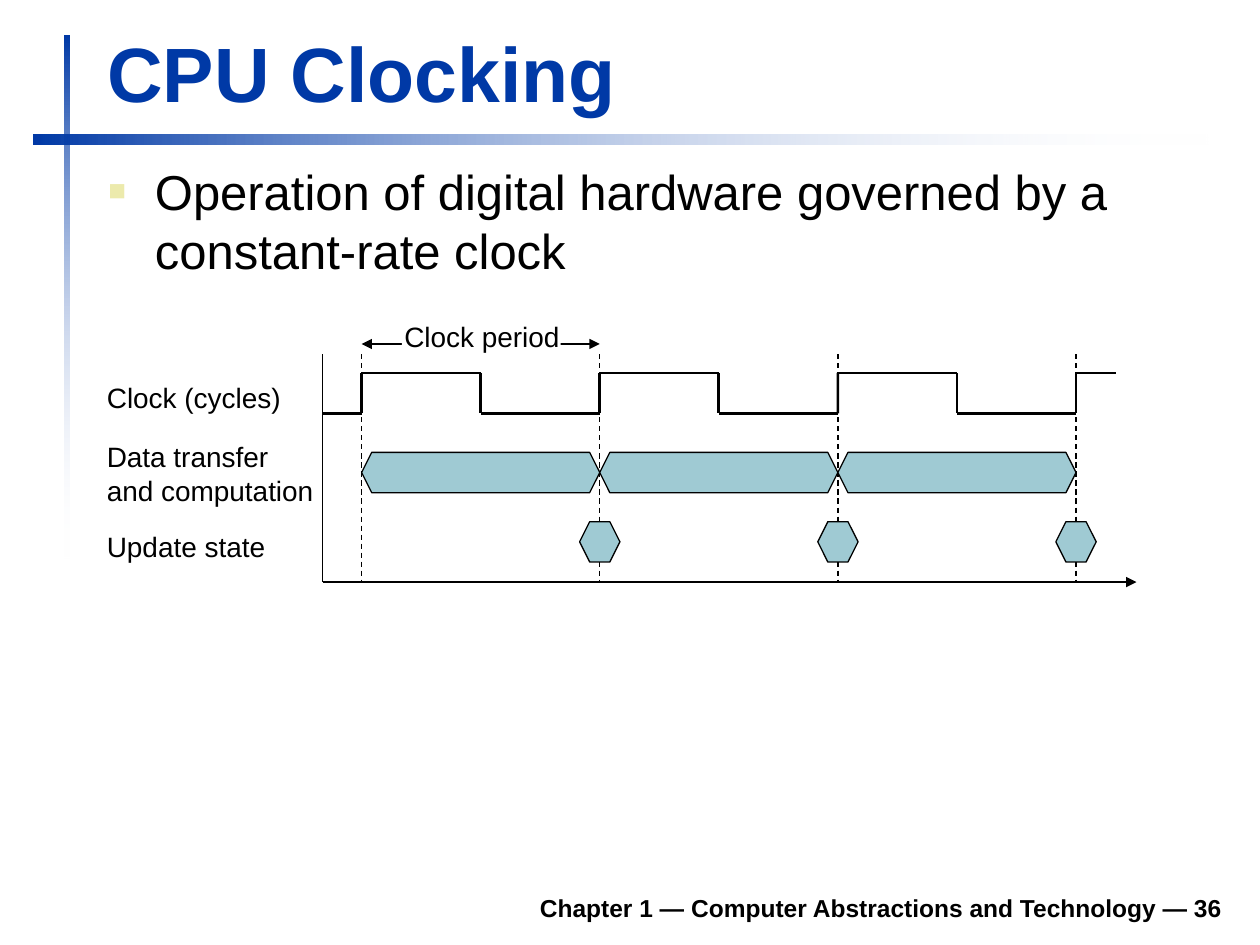
import pptx
import pptx.util
import pptx.dml.color
import pptx.enum.dml
import pptx.enum.shapes
import pptx.enum.text
import pptx.oxml
import pptx.oxml.ns
from pptx.util import Inches, Pt

# Content
TITLE = "CPU Clocking"
BULLET = "Operation of digital hardware governed by a constant-rate clock"
FOOTER = "Chapter 1 — Computer Abstractions and Technology — 36"
PERIOD_LABEL = ("Clock period", 3.11, 2.49, 1.43, 0.36)
ROW_LABELS = [
    ("Clock (cycles)", 0.75, 2.97, 1.58, 0.36),
    ("Data transfer\nand computation", 0.75, 3.44, 1.84, 0.63),
    ("Update state", 0.75, 4.15, 1.46, 0.36),
]

COLORS = {"blue": "0039A6", "white": "FFFFFF", "black": "000000",
          "teal": "9FCAD3", "bullet": "ECEAAC"}
FONT = "Arial"

# Timing diagram geometry, in inches
PERIOD = 1.89
EDGES = [2.87 + PERIOD * cycle for cycle in range(4)]
AXIS_LEFT, AXIS_RIGHT, AXIS_TOP, AXIS_BOTTOM = 2.56, 9.02, 2.81, 4.62
HIGH, LOW, WAVE_END = 2.96, 3.28, 8.86
HEX_HEIGHT, HEX_INSET, STATE_WIDTH = 0.32, 0.08, 0.32
DATA_TOP, STATE_TOP = 3.59, 4.14

ALIGN = pptx.enum.text.PP_ALIGN
ANCHOR = pptx.enum.text.MSO_ANCHOR
RECTANGLE = pptx.enum.shapes.MSO_SHAPE.RECTANGLE


def rgb(name):
    return pptx.dml.color.RGBColor.from_string(COLORS[name])


def add_xml(parent, tag, **attributes):
    element = pptx.oxml.parse_xml(f"<a:{tag} {pptx.oxml.ns.nsdecls('a')}/>")
    for key, value in attributes.items():
        element.set(key, value)
    parent.append(element)
    return element


def place(shape, left, top, width, height):
    bounds = {"left": left, "top": top, "width": width, "height": height}
    for key, value in bounds.items():
        setattr(shape, key, Inches(value))


def write(shape, text, size, color="black", bold=False, align=ALIGN.LEFT,
          anchor=ANCHOR.TOP, wrap=True):
    auto = pptx.enum.text.MSO_AUTO_SIZE
    frame = shape.text_frame
    frame_format = {"word_wrap": wrap, "vertical_anchor": anchor,
                    "auto_size": auto.NONE if wrap else auto.SHAPE_TO_FIT_TEXT}
    for key, value in frame_format.items():
        setattr(frame, key, value)
    para = frame.paragraphs[0]
    para.text = text
    para.alignment = align
    para.space_before = Pt(0)
    for span in para.runs:
        for key, value in {"name": FONT, "size": Pt(size), "bold": bold}.items():
            setattr(span.font, key, value)
        span.font.color.rgb = rgb(color)
    return para


def add_text(page, text, left, top, width, height, size=16, **style):
    box = page.shapes.add_textbox(*map(Inches, (left, top, width, height)))
    write(box, text, size, **style)


def add_line(page, start, end, width=0.75, dashed=False, arrows=()):
    line = page.shapes.add_connector(
        pptx.enum.shapes.MSO_CONNECTOR.STRAIGHT, *map(Inches, (*start, *end)))
    line.line.color.rgb = rgb("black")
    line.line.width = Pt(width)
    if dashed:
        line.line.dash_style = pptx.enum.dml.MSO_LINE.DASH
    for end_tag in arrows:
        add_xml(line.line._get_or_add_ln(), end_tag, type="triangle")
    add_xml(line._element.spPr, "effectLst")


def add_rectangle(page, left, top, width, height):
    shape = page.shapes.add_shape(
        RECTANGLE, *map(Inches, (left, top, width, height)))
    shape.shadow.inherit = False
    shape.line.fill.background()
    return shape


def add_fading_bar(page, bounds, angle):
    bar = add_rectangle(page, *bounds)
    bar.fill.gradient()
    for stop, color in zip(bar.fill.gradient_stops, ("blue", "white")):
        stop.color.rgb = rgb(color)
    gradient = bar._element.spPr.find(pptx.oxml.ns.qn("a:gradFill"))
    add_xml(list(gradient.iter(pptx.oxml.ns.qn("a:srgbClr")))[-1], "alpha", val="0")
    gradient.find(pptx.oxml.ns.qn("a:lin")).set("ang", str(angle * 60000))


def add_hexagon(page, left, top, width):
    right, middle, bottom = left + width, top + HEX_HEIGHT / 2, top + HEX_HEIGHT
    corners = [(left + HEX_INSET, top), (right - HEX_INSET, top), (right, middle),
               (right - HEX_INSET, bottom), (left + HEX_INSET, bottom)]
    builder = page.shapes.build_freeform(Inches(left), Inches(middle))
    builder.add_line_segments(
        [(Inches(x), Inches(y)) for x, y in corners], close=True)
    shape = builder.convert_to_shape()
    shape.shadow.inherit = False
    shape.fill.solid()
    shape.fill.fore_color.rgb = rgb("teal")
    shape.line.color.rgb = rgb("black")
    shape.line.width = Pt(0.75)


def add_frame(page):
    # Fading bars, title, bullet and footer
    add_fading_bar(page, (0.51, 0.28, 0.04, 4.17), 90)
    add_fading_bar(page, (0.27, 1.07, 9.37, 0.08), 0)
    add_text(page, FOOTER, 1.85, 6.98, 7.95, 0.39, size=14, bold=True,
             align=ALIGN.RIGHT, anchor=ANCHOR.BOTTOM)

    title, body = page.placeholders
    place(title, 0.75, 0.16, 9.03, 0.83)
    write(title, TITLE, 44, color="blue", bold=True, anchor=ANCHOR.BOTTOM)
    place(body, 0.75, 1.23, 9.04, 1.34)
    properties = write(body, BULLET, 28)._p.get_or_add_pPr()
    properties.set("marL", str(Inches(0.38)))
    properties.set("indent", str(Inches(-0.37)))
    add_xml(add_xml(properties, "buClr"), "srgbClr", val=COLORS["bullet"])
    add_xml(properties, "buSzPct", val="60000")
    add_xml(properties, "buFont", typeface=FONT)
    add_xml(properties, "buChar", char="■")


def add_timing_diagram(page):
    # Period arrow and dashed clock edges
    add_line(page, (EDGES[0], 2.73), (EDGES[1], 2.73), arrows=("headEnd", "tailEnd"))
    for edge in EDGES:
        add_line(page, (edge, AXIS_TOP), (edge, AXIS_BOTTOM), dashed=True)

    # Clock wave: each cycle is high for one half and low for the other
    wave = [(AXIS_LEFT, LOW), (EDGES[0], LOW)]
    for edge in EDGES[:-1]:
        half = edge + PERIOD / 2
        wave += [(edge, HIGH), (half, HIGH), (half, LOW), (edge + PERIOD, LOW)]
    wave += [(EDGES[-1], HIGH), (WAVE_END, HIGH)]
    for start, end in zip(wave, wave[1:]):
        add_line(page, start, end, width=1.5)

    # State updates on the edges that end a cycle
    for edge in EDGES[1:]:
        add_hexagon(page, edge - STATE_WIDTH / 2, STATE_TOP, STATE_WIDTH)

    # Axes
    origin = (AXIS_LEFT, AXIS_BOTTOM)
    add_line(page, origin, (AXIS_RIGHT, AXIS_BOTTOM), arrows=("tailEnd",))
    add_line(page, origin, (AXIS_LEFT, AXIS_TOP))

    # Labels, the period one on a white gap in its arrow
    for label in ROW_LABELS:
        add_text(page, *label, wrap=False)
    gap = add_rectangle(page, 3.19, 2.65, 1.26, 0.16)
    gap.fill.solid()
    gap.fill.fore_color.rgb = rgb("white")
    add_text(page, *PERIOD_LABEL, align=ALIGN.CENTER, wrap=False)

    # Data transfer and computation, one bar per cycle
    for edge in EDGES[:-1]:
        add_hexagon(page, edge, DATA_TOP, PERIOD)


def main():
    deck = pptx.Presentation()
    deck.slide_width, deck.slide_height = Inches(10), Inches(7.5)
    page = deck.slides.add_slide(deck.slide_layouts[1])
    add_frame(page)
    add_timing_diagram(page)
    deck.save("out.pptx")


if __name__ == "__main__":
    main()
